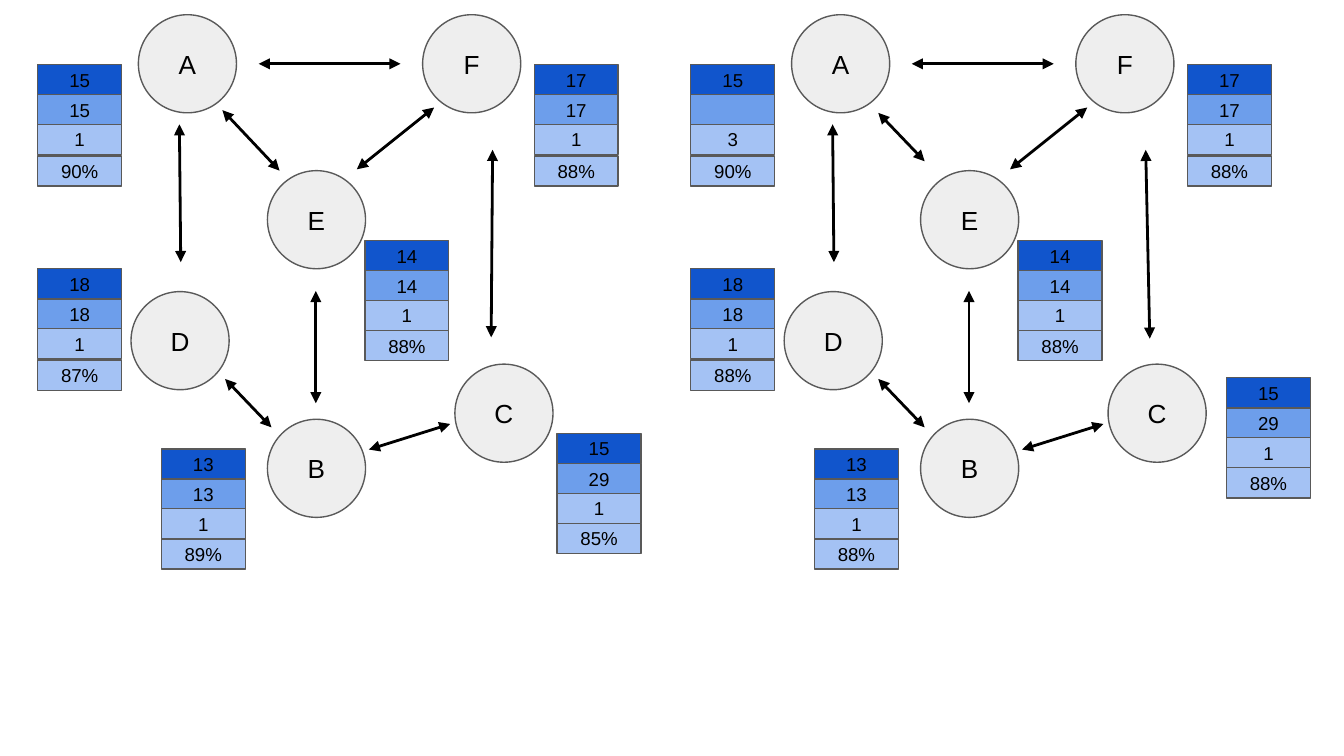
from lxml.etree import SubElement
from pptx import Presentation
from pptx.dml.color import RGBColor
from pptx.enum.shapes import MSO_CONNECTOR, MSO_SHAPE
from pptx.enum.text import MSO_ANCHOR, PP_ALIGN
from pptx.oxml.ns import qn
from pptx.util import Pt

PX = 4572
PAGE_WIDTH, PAGE_HEIGHT = 2000, 1125
BLACK = RGBColor(0x00, 0x00, 0x00)
OUTLINE = RGBColor(0x59, 0x59, 0x59)
NODE_FILL = RGBColor(0xEE, 0xEE, 0xEE)
DARK_BLUE = RGBColor(0x11, 0x55, 0xCC)
MID_BLUE = RGBColor(0x6D, 0x9E, 0xEB)
LIGHT_BLUE = RGBColor(0xA4, 0xC2, 0xF4)

NODE_SIZE = 146
ROW_WIDTH, ROW_HEIGHT = 125, 45
ROW_FILLS = (DARK_BLUE, MID_BLUE, LIGHT_BLUE, LIGHT_BLUE)
EVEN_ROWS = (0, 45, 89, 134)
SPLIT_ROWS = (0, 45, 89, 136)
FRAME_FORMAT = {
    "margin_left": 20 * PX,
    "margin_right": 20 * PX,
    "margin_top": 20 * PX,
    "margin_bottom": 20 * PX,
    "vertical_anchor": MSO_ANCHOR.MIDDLE,
    "word_wrap": True,
}

NODES = {
    "A": (206, 22),
    "B": (398, 624),
    "E": (398, 254),
    "F": (629, 22),
    "C": (677, 542),
    "D": (195, 434),
}
STACKS = {
    "A": (56, 96, SPLIT_ROWS),
    "F": (795, 96, SPLIT_ROWS),
    "D": (56, 400, SPLIT_ROWS),
    "B": (240, 668, EVEN_ROWS),
    "E": (543, 358, EVEN_ROWS),
    "C": (829, 645, EVEN_ROWS),
}
ARROWS = {
    "AF": (385, 95, 596, 95),
    "EF": (531, 252, 646, 160),
    "CF": (731, 502, 733, 223),
    "AD": (267, 185, 269, 390),
    "EA": (416, 254, 331, 164),
    "BE": (470, 600, 470, 433),
    "BC": (549, 669, 670, 631),
    "BD": (404, 636, 335, 564),
}
LEFT_VALUES = {
    "A": ("15", "15", "1", "90%"),
    "F": ("17", "17", "1", "88%"),
    "D": ("18", "18", "1", "87%"),
    "B": ("13", "13", "1", "89%"),
    "E": ("14", "14", "1", "88%"),
    "C": ("15", "29", "1", "85%"),
}
RIGHT_VALUES = LEFT_VALUES | {
    "A": ("15", "", "3", "90%"),
    "D": ("18", "18", "1", "88%"),
    "B": ("13", "13", "1", "88%"),
    "C": ("15", "29", "1", "88%"),
}
RIGHT_STACKS = STACKS | {"C": (853, 562, EVEN_ROWS)}
RIGHT_ARROWS = ARROWS | {
    "CF": (739, 504, 733, 223),
    "EA": (404, 240, 335, 168),
}


def add_label_shape(page, kind, box, fill, label, size):
    shape = page.shapes.add_shape(kind, *(length * PX for length in box))
    shape.shadow.inherit = False
    shape.fill.solid()
    shape.fill.fore_color.rgb = fill
    shape.line.color.rgb = OUTLINE
    shape.line.width = Pt(0.75)
    if not label:
        return
    for name, value in FRAME_FORMAT.items():
        setattr(shape.text_frame, name, value)
    para = shape.text_frame.paragraphs[0]
    para.alignment = PP_ALIGN.CENTER
    span = para.add_run()
    span.text = label
    for name, value in {"name": "Arial", "size": Pt(size)}.items():
        setattr(span.font, name, value)
    span.font.color.rgb = BLACK


def add_stack(page, left, top, row_offsets, values):
    for offset, fill, value in zip(row_offsets, ROW_FILLS, values):
        box = (left, top + offset, ROW_WIDTH, ROW_HEIGHT)
        add_label_shape(page, MSO_SHAPE.RECTANGLE, box, fill, value, 10)


def add_double_arrow(page, ends):
    arrow = page.shapes.add_connector(
        MSO_CONNECTOR.STRAIGHT, *(length * PX for length in ends)
    )
    arrow.line.color.rgb = BLACK
    arrow.line.width = Pt(1.5)
    outline = arrow.line._get_or_add_ln()
    for end in ("a:headEnd", "a:tailEnd"):
        SubElement(outline, qn(end), type="triangle")
    SubElement(arrow._element.spPr, qn("a:effectLst"))


def add_graph(page, left, top, stacks, arrows, values):
    for name, (x, y) in NODES.items():
        box = (left + x, top + y, NODE_SIZE, NODE_SIZE)
        add_label_shape(page, MSO_SHAPE.OVAL, box, NODE_FILL, name, 14)
    for name, (x, y, row_offsets) in stacks.items():
        add_stack(page, left + x, top + y, row_offsets, values[name])
    for x1, y1, x2, y2 in arrows.values():
        add_double_arrow(page, (left + x1, top + y1, left + x2, top + y2))


def main():
    deck = Presentation()
    deck.slide_width = PAGE_WIDTH * PX
    deck.slide_height = PAGE_HEIGHT * PX
    page = deck.slides.add_slide(deck.slide_layouts[6])
    add_graph(page, 0, 0, STACKS, ARROWS, LEFT_VALUES)
    add_graph(page, 972, 0, RIGHT_STACKS, RIGHT_ARROWS, RIGHT_VALUES)
    deck.save("out.pptx")


if __name__ == "__main__":
    main()
